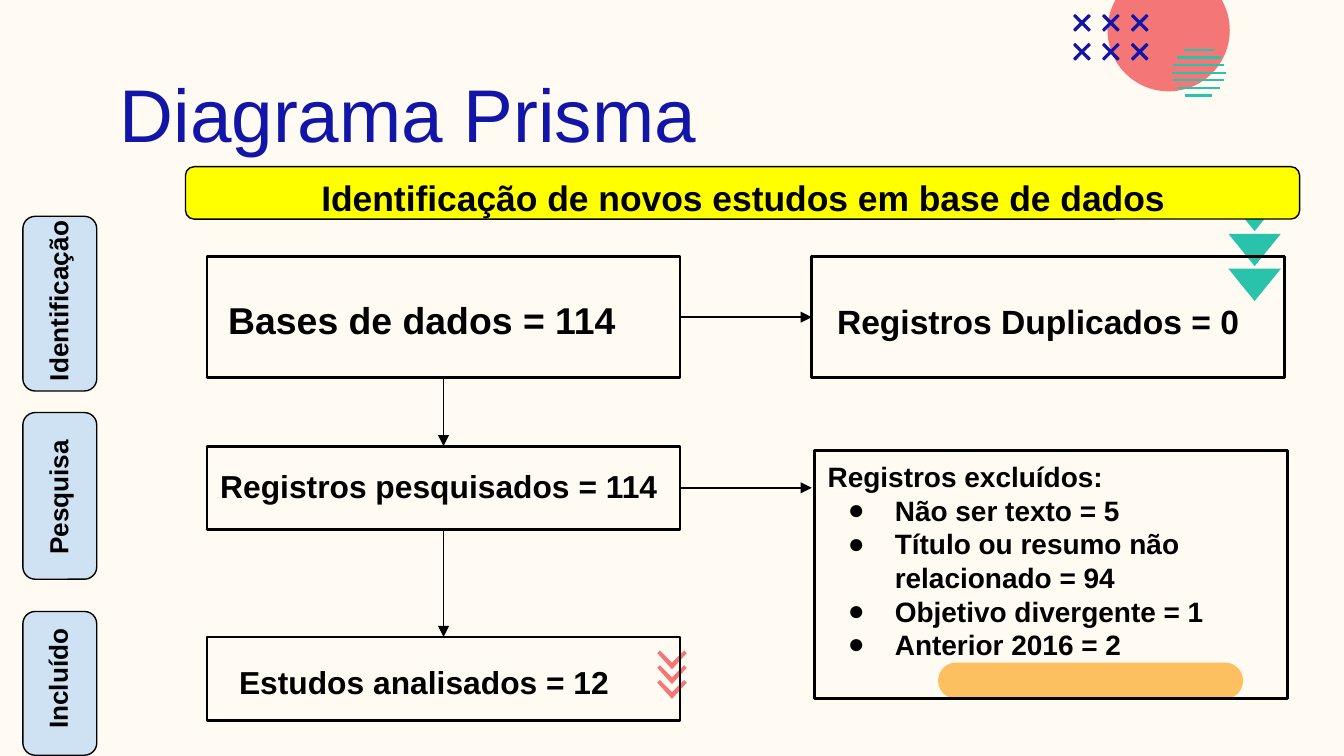
from pptx import Presentation
from pptx.dml.color import RGBColor
from pptx.enum.shapes import MSO_CONNECTOR, MSO_SHAPE
from pptx.enum.text import MSO_ANCHOR, PP_ALIGN
from pptx.oxml.ns import qn
from pptx.util import Inches, Pt
from lxml import etree

RECT, ROUND = MSO_SHAPE.RECTANGLE, MSO_SHAPE.ROUNDED_RECTANGLE
OVAL, TRIANGLE = MSO_SHAPE.OVAL, MSO_SHAPE.FLOWCHART_MERGE
STRAIGHT = MSO_CONNECTOR.STRAIGHT
LEFT, CENTER = PP_ALIGN.LEFT, PP_ALIGN.CENTER
TOP, MIDDLE = MSO_ANCHOR.TOP, MSO_ANCHOR.MIDDLE

CREAM = RGBColor(0xFF, 0xFA, 0xF2)
CORAL = RGBColor(0xF5, 0x76, 0x76)
TEAL = RGBColor(0x29, 0xC2, 0xAA)
NAVY = RGBColor(0x11, 0x16, 0xA8)
ORANGE = RGBColor(0xFD, 0xC0, 0x61)
YELLOW = RGBColor(0xFF, 0xFF, 0x00)
PALE_BLUE = RGBColor(0xCF, 0xE2, 0xF3)
BLACK = RGBColor(0, 0, 0)

TITLE = "Diagrama Prisma"
BANNER = "Identificação de novos estudos em base de dados"
STAGES = [
    ("Identificação", 1.61, 1.3, (-0.26, 2.02, 1.39, 0.44)),
    ("Pesquisa", 3.07, 1.24, (-0.14, 3.48, 1.15, 0.44)),
    ("Incluído", 4.55, 1.07, (-0.11, 4.83, 1.08, 0.44)),
]
BOXES = {
    "bases": (1.54, 1.91, 0.9, ["Bases de dados = 114"], 20, (1.6, 2.11, 3.37, 0.54)),
    "duplicados": (6.04, 1.91, 0.9, ["Registros Duplicados = 0"], 18, (6.13, 2.14, 3.43, 0.5)),
    "pesquisados": (1.54, 3.32, 0.62, ["Registros pesquisados = 114"], 17, (1.54, 3.37, 3.52, 0.49)),
    "excluidos": (6.06, 3.35, 1.85, [
        "Registros excluídos:",
        "Não ser texto = 5",
        "Título ou resumo não relacionado = 94",
        "Objetivo divergente = 1",
        "Anterior 2016 = 2",
    ], 15, (6.06, 3.32, 3.46, 1.72)),
    "analisados": (1.54, 4.74, 0.62, ["Estudos analisados = 12"], 17, (1.68, 4.83, 3.21, 0.49)),
}
BOX_W = 3.52
ARROWS = [
    ("bases", 3, "duplicados", 1),
    ("bases", 2, "pesquisados", 0),
    ("pesquisados", 2, "analisados", 0),
]
HATCH_WIDTHS = [0.22, 0.33, 0.38, 0.4, 0.38, 0.32, 0.2]
CROSS = [(-0.06, -0.05), (-0.05, -0.06), (0, -0.01), (0.05, -0.06), (0.06, -0.05), (0.01, 0),
         (0.06, 0.05), (0.05, 0.06), (0, 0.01), (-0.05, 0.06), (-0.06, 0.05), (-0.01, 0)]
CHEVRON = [(-0.11, 0.02), (0, 0.14), (0.11, 0.02), (0.09, 0), (0, 0.09), (-0.09, 0)]

prs = Presentation()
prs.slide_width, prs.slide_height = Inches(10), Inches(45 / 8)
s = prs.slides.add_slide(prs.slide_layouts[5])
s.background.fill.solid()
s.background.fill.fore_color.rgb = CREAM


def paint(sp, fill=None, line=None, width=0.75):
    sp.shadow.inherit = False
    if fill is None:
        sp.fill.background()
    else:
        sp.fill.solid()
        sp.fill.fore_color.rgb = fill
    if line is None:
        sp.line.fill.background()
    else:
        sp.line.color.rgb = line
        sp.line.width = Pt(width)
    return sp


def add_box(kind, at, radius=None, **look):
    sp = s.shapes.add_shape(kind, *map(Inches, at))
    if radius is not None:
        sp.adjustments[0] = radius
    return paint(sp, **look)


def add_outline(points, x, y, **look):
    pts = [(Inches(x + dx), Inches(y + dy)) for dx, dy in points]
    builder = s.shapes.build_freeform(*pts[0])
    builder.add_line_segments(pts[1:], close=True)
    return paint(builder.convert_to_shape(), **look)


def add_line(x1, y1, x2, y2, color=BLACK, width=0.75, arrow=False):
    line = s.shapes.add_connector(STRAIGHT, *map(Inches, (x1, y1, x2, y2)))
    line.line.color.rgb = color
    line.line.width = Pt(width)
    if arrow:
        etree.SubElement(line.line._get_or_add_ln(), qn("a:tailEnd"), type="triangle")
    etree.SubElement(line._element.spPr, qn("a:effectLst"))
    return line


def write(sp, lines, size, color=BLACK, bold=True, align=LEFT, anchor=TOP):
    tf = sp.text_frame
    frame = dict.fromkeys(("margin_left", "margin_top", "margin_right", "margin_bottom"), Inches(0.1))
    for name, value in {**frame, "word_wrap": True, "vertical_anchor": anchor}.items():
        setattr(tf, name, value)
    for i, line in enumerate(lines):
        p = tf.paragraphs[0] if i == 0 else tf.add_paragraph()
        p.alignment = align
        r = p.add_run()
        r.text = line
        for name, value in {"name": "Arial", "size": Pt(size), "bold": bold}.items():
            setattr(r.font, name, value)
        r.font.color.rgb = color
        if i:
            pPr = p._p.get_or_add_pPr()
            pPr.set("marL", str(Inches(0.5)))
            pPr.set("indent", str(Inches(-0.35)))
            bullet_color = etree.SubElement(pPr, qn("a:buClr"))
            etree.SubElement(bullet_color, qn("a:srgbClr"), val=str(color))
            etree.SubElement(pPr, qn("a:buFont"), typeface="Arial")
            etree.SubElement(pPr, qn("a:buChar"), char="●")


def add_text(at, lines, size, rotation=0, **style):
    sp = s.shapes.add_textbox(*map(Inches, at))
    sp.rotation = rotation
    write(sp, lines, size, **style)


add_box(OVAL, (8.24, -0.23, 0.91, 0.91), fill=CORAL)
for i, w in enumerate(HATCH_WIDTHS):
    y = 0.37 + i * 0.057
    add_line(8.92 - w / 2, y, 8.92 + w / 2, y, TEAL, 1.25)
for row in range(2):
    for col in range(3):
        add_outline(CROSS, 8.05 + col * 0.215, 0.17 + row * 0.215, fill=NAVY, line=NAVY)
for i in range(3):
    add_box(TRIANGLE, (9.14, 1.48 + i * 0.26, 0.39, 0.24), fill=TEAL)
    add_outline(CHEVRON, 5, 4.84 + i * 0.11, fill=CORAL)
add_box(ROUND, (6.98, 4.93, 2.27, 0.27), 0.5, fill=ORANGE)

title = s.shapes.title
title.left, title.top, title.width, title.height = map(Inches, (0.79, 0.58, 6.2, 0.52))
write(title, [TITLE], 40, color=NAVY, bold=False, anchor=MIDDLE)

add_box(ROUND, (1.38, 1.24, 8.29, 0.39), 0.167, fill=YELLOW, line=BLACK)
add_text((1.51, 1.21, 8.04, 0.52), [BANNER], 19, align=CENTER)

for label, top, height, text_at in STAGES:
    add_box(ROUND, (0.17, top, 0.55, height), 0.167, fill=PALE_BLUE, line=BLACK)
    add_text(text_at, [label], 14, rotation=270, align=CENTER)

boxes = {}
for key, (left, top, height, lines, size, text_at) in BOXES.items():
    boxes[key] = add_box(RECT, (left, top, BOX_W, height), line=BLACK, width=1.5)
    add_text(text_at, lines, size)

for start, start_side, end, end_side in ARROWS:
    arrow = add_line(0, 0, 1, 1, arrow=True)
    arrow.begin_connect(boxes[start], start_side)
    arrow.end_connect(boxes[end], end_side)
add_line(5.06, 3.63, 6.04, 3.63, arrow=True).begin_connect(boxes["pesquisados"], 3)

prs.save("out.pptx")
